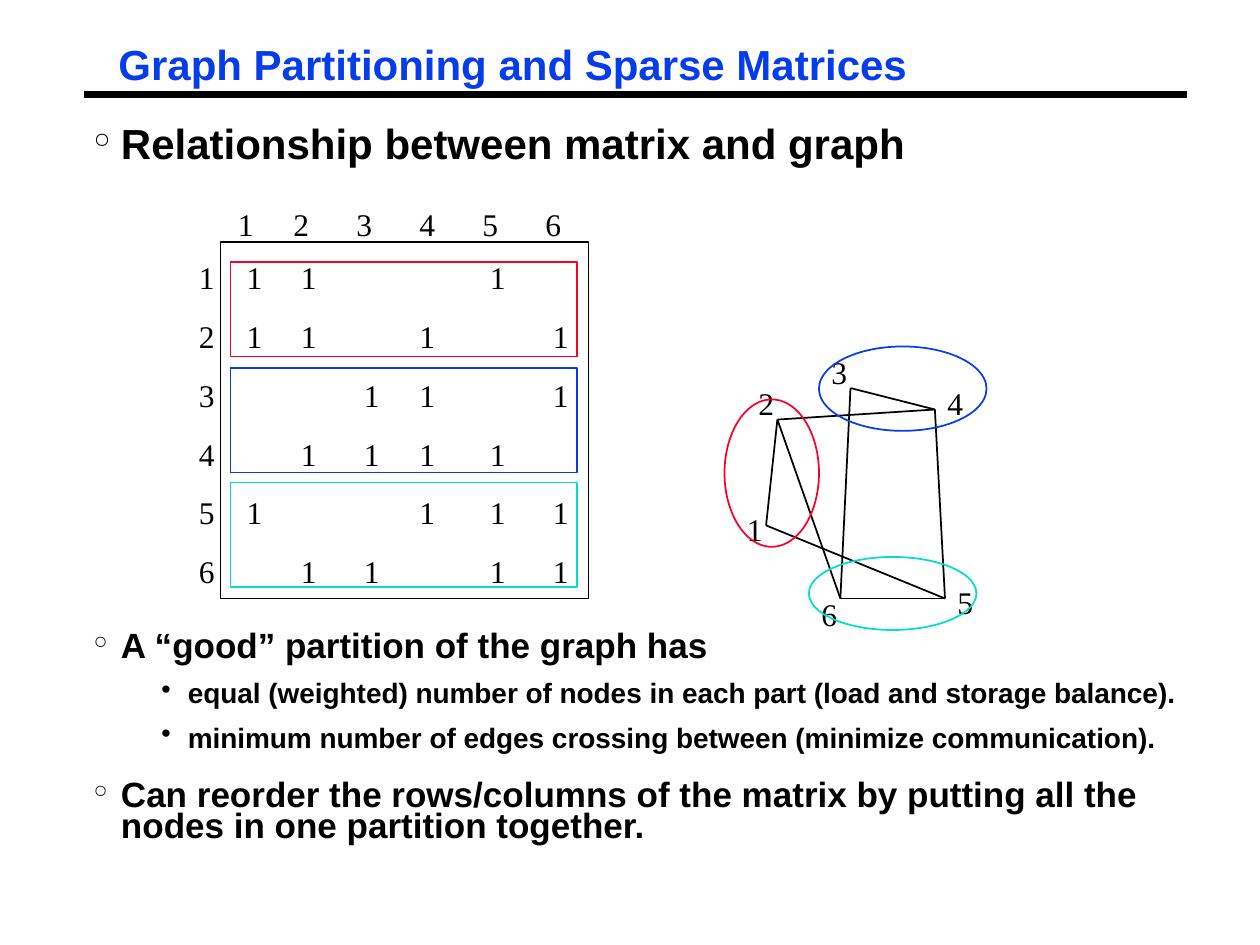
from lxml.etree import SubElement
from pptx import Presentation
from pptx.dml.color import RGBColor
from pptx.enum.shapes import MSO_CONNECTOR, MSO_SHAPE
from pptx.oxml.ns import qn
from pptx.util import Inches, Pt

BLACK = RGBColor(0x00, 0x00, 0x00)
BLUE = RGBColor(0x06, 0x3D, 0xE8)
RED = RGBColor(0xFC, 0x01, 0x28)
TEAL = RGBColor(0x00, 0xDF, 0xCA)

HEADING = {"name": "Arial", "size": Pt(24), "bold": True}
POINT = {**HEADING, "size": Pt(20)}
SUBPOINT = {**HEADING, "size": Pt(16)}
DIGIT = {"name": "Times New Roman", "size": Pt(18), "bold": False}

# Bullet styles: character, left margin, hanging indent, line spacing, space before
POINT_BULLET = ("°", 0.22, 0.22, 0.75, 16.2)
SUBPOINT_BULLET = ("•", 0.75, 0.21, 0.85, 9)

# Ones of the sparse matrix, by row
MATRIX = {1: (1, 2, 5), 2: (1, 2, 4, 6), 3: (3, 4, 6),
          4: (2, 3, 4, 5), 5: (1, 4, 5, 6), 6: (2, 3, 5, 6)}
COLUMN_STOPS = (0.38, 0.81, 1.31, 1.75, 2.31, 2.81)
HEADER_STOPS = (0.12, 0.56, 1.06, 1.56, 2.06, 2.56)

# Node number: (point, label corner), measured from the graph's corner
NODES = {1: ((0.33, 1.42), (0.08, 1.25)), 2: ((0.42, 0.58), (0.17, 0.25)),
         3: ((1, 0.33), (0.75, 0)), 4: ((1.67, 0.5), (1.67, 0.25)),
         5: ((1.75, 2), (1.75, 1.83)), 6: ((0.92, 2), (0.67, 1.92))}
EDGES = ((2, 6), (2, 1), (2, 4), (1, 5), (5, 4), (3, 6), (3, 4), (6, 5))


def style_font(paragraph, values, color=BLACK):
    for attribute, value in values.items():
        setattr(paragraph.font, attribute, value)
    paragraph.font.color.rgb = color


def add_frame(shapes, box, inset_x=0.1, inset_y=0.05):
    frame = shapes.add_textbox(*map(Inches, box)).text_frame
    values = {"word_wrap": True,
              "margin_left": Inches(inset_x), "margin_right": Inches(inset_x),
              "margin_top": Inches(inset_y), "margin_bottom": Inches(inset_y)}
    for attribute, value in values.items():
        setattr(frame, attribute, value)
    return frame


def add_paragraphs(frame, texts):
    for index, text in enumerate(texts):
        paragraph = frame.add_paragraph() if index else frame.paragraphs[0]
        paragraph.text = text
        yield index, paragraph


def add_bullet(paragraph, character, margin, hanging):
    properties = paragraph._p.get_or_add_pPr()
    properties.set("marL", str(Inches(margin)))
    properties.set("indent", str(-Inches(hanging)))
    color = SubElement(properties, qn("a:buClr"))
    SubElement(color, qn("a:srgbClr"), val=str(BLACK))
    SubElement(properties, qn("a:buChar"), char=character)


def add_tab_stops(paragraph, stops):
    tabs = SubElement(paragraph._p.get_or_add_pPr(), qn("a:tabLst"))
    for stop in stops:
        SubElement(tabs, qn("a:tab"), pos=str(Inches(stop)), algn="l")


def add_outline(shapes, preset, box, color):
    outline = shapes.add_shape(preset, *map(Inches, box))
    outline.shadow.inherit = False
    outline.fill.background()
    outline.line.color.rgb = color
    outline.line.width = Pt(1)


def add_line(shapes, start, end, width=1):
    line = shapes.add_connector(MSO_CONNECTOR.STRAIGHT, *map(Inches, (*start, *end)))
    line.line.color.rgb = BLACK
    line.line.width = Pt(width)
    SubElement(line._element.spPr, qn("a:effectLst"))


def add_title(shapes, box, text):
    left, top, _, _ = box
    add_line(shapes, (left - 0.2, top + 0.42), (left + 8.55, top + 0.42), 3.75)
    title = add_frame(shapes, box, 0.07, 0.03).paragraphs[0]
    title.text = text
    title.line_spacing = 0.87
    style_font(title, HEADING, BLUE)


def add_bullets(shapes, box, items):
    frame = add_frame(shapes, box, 0.07, 0.03)
    for index, paragraph in add_paragraphs(frame, [text for text, _, _ in items]):
        _, font, (character, margin, hanging, spacing, before) = items[index]
        paragraph.line_spacing = spacing
        paragraph.space_before = Pt(before if index else 0)
        add_bullet(paragraph, character, margin, hanging)
        style_font(paragraph, font)


def add_tabbed_rows(shapes, box, rows, stops):
    for index, paragraph in add_paragraphs(add_frame(shapes, box), rows):
        paragraph.space_before = Pt(12 if index else 0)
        add_tab_stops(paragraph, stops)
        style_font(paragraph, DIGIT)


def add_matrix(shapes, box):
    left, top, width, height = box
    add_outline(shapes, MSO_SHAPE.RECTANGLE, box, BLACK)

    # Row numbers and entries, then column numbers
    rows = []
    for number, ones in MATRIX.items():
        entries = ["1" if column in ones else "" for column in range(1, ones[-1] + 1)]
        rows.append("\t".join([str(number), *entries]))
    add_tabbed_rows(shapes, (left - 0.27, top + 0.08, 3.18, 3.14), rows, COLUMN_STOPS)
    header = "".join(f"\t{number}" for number in MATRIX)
    add_tabbed_rows(shapes, (left - 0.08, top - 0.34, 3.17, 0.4), [header], HEADER_STOPS)

    # Partition blocks
    for offset, block_height, color in ((0.16, 0.75, RED), (1, 0.83, BLUE), (1.91, 0.83, TEAL)):
        block = (left + 0.08, top + offset, width - 0.17, block_height)
        add_outline(shapes, MSO_SHAPE.RECTANGLE, block, color)


def add_graph(shapes, box):
    left, top, _, _ = box

    def place(point):
        return left + point[0], top + point[1]

    # Node labels and edges
    network = shapes.add_group_shape().shapes
    for number, (_, corner) in NODES.items():
        label = add_frame(network, (*place(corner), 0.25, 0.4)).paragraphs[0]
        label.text = str(number)
        style_font(label, DIGIT)
    for start, end in EDGES:
        add_line(network, place(NODES[start][0]), place(NODES[end][0]))

    # Partition ovals
    partitions = shapes.add_group_shape().shapes
    for corner, size, color in (((0, 0.42), (0.75, 1.17), RED),
                                ((0.75, 0), (1.33, 0.67), BLUE),
                                ((0.67, 1.67), (1.33, 0.58), TEAL)):
        add_outline(partitions, MSO_SHAPE.OVAL, (*place(corner), *size), color)


def main():
    deck = Presentation()
    deck.slide_width, deck.slide_height = Inches(10), Inches(7.5)
    shapes = deck.slides.add_slide(deck.slide_layouts[6]).shapes

    add_title(shapes, (0.87, 0.33, 6.49, 0.4), "Graph Partitioning and Sparse Matrices")
    add_bullets(shapes, (0.67, 1, 8.75, 0.36), [
        ("Relationship between matrix and graph", HEADING, POINT_BULLET)])
    add_matrix(shapes, (1.75, 1.92, 2.92, 2.83))
    add_graph(shapes, (5.75, 2.75, 2.08, 2.32))
    add_bullets(shapes, (0.67, 5, 8.75, 1.71), [
        ("A “good” partition of the graph has", POINT, POINT_BULLET),
        ("equal (weighted) number of nodes in each part (load and storage balance).",
         SUBPOINT, SUBPOINT_BULLET),
        ("minimum number of edges crossing between (minimize communication).",
         SUBPOINT, SUBPOINT_BULLET),
        ("Can reorder the rows/columns of the matrix by putting all the nodes "
         "in one partition together.", POINT, POINT_BULLET)])
    deck.save("out.pptx")


if __name__ == "__main__":
    main()
